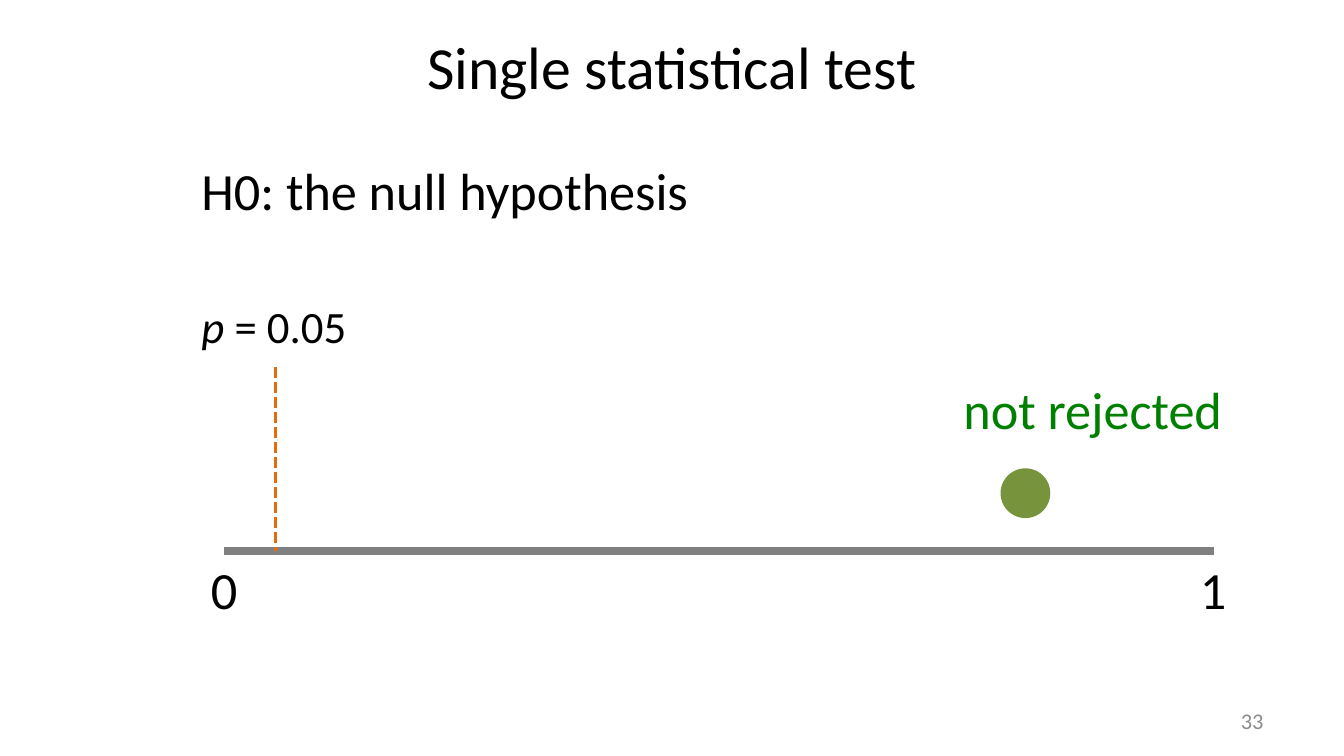
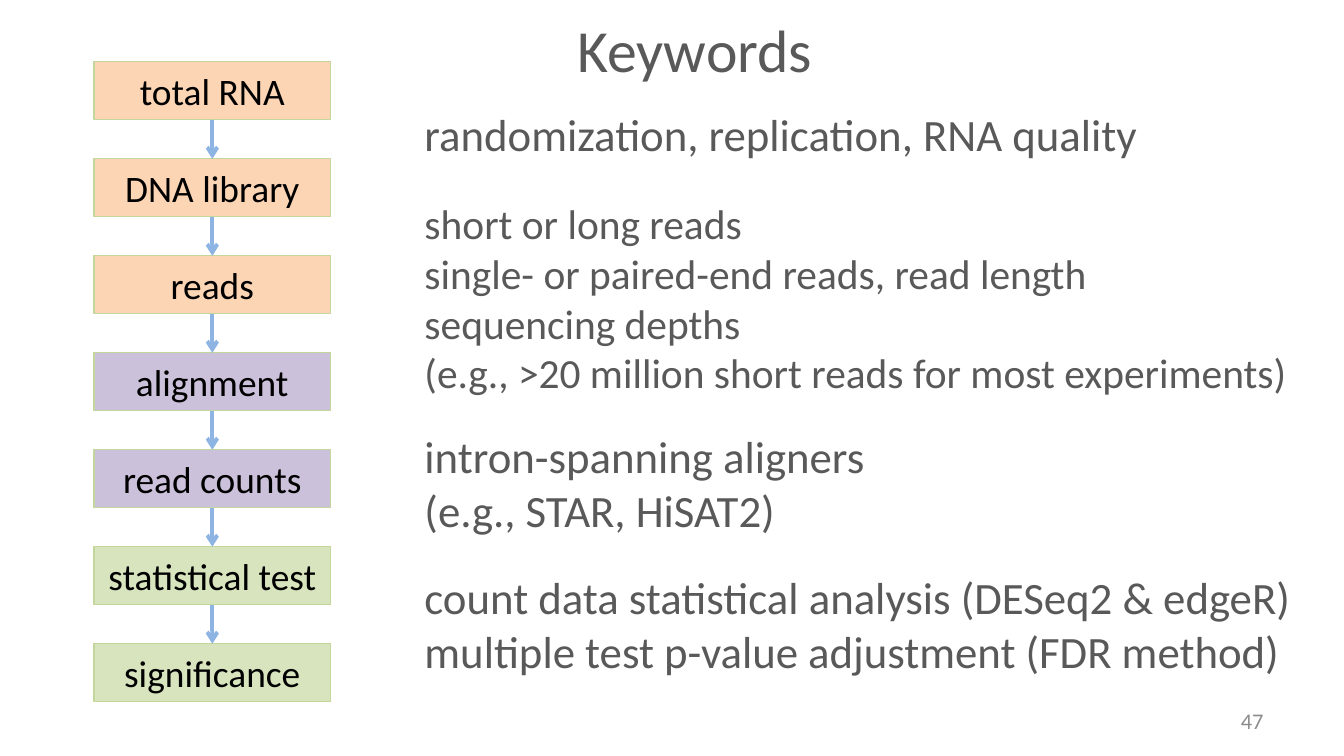
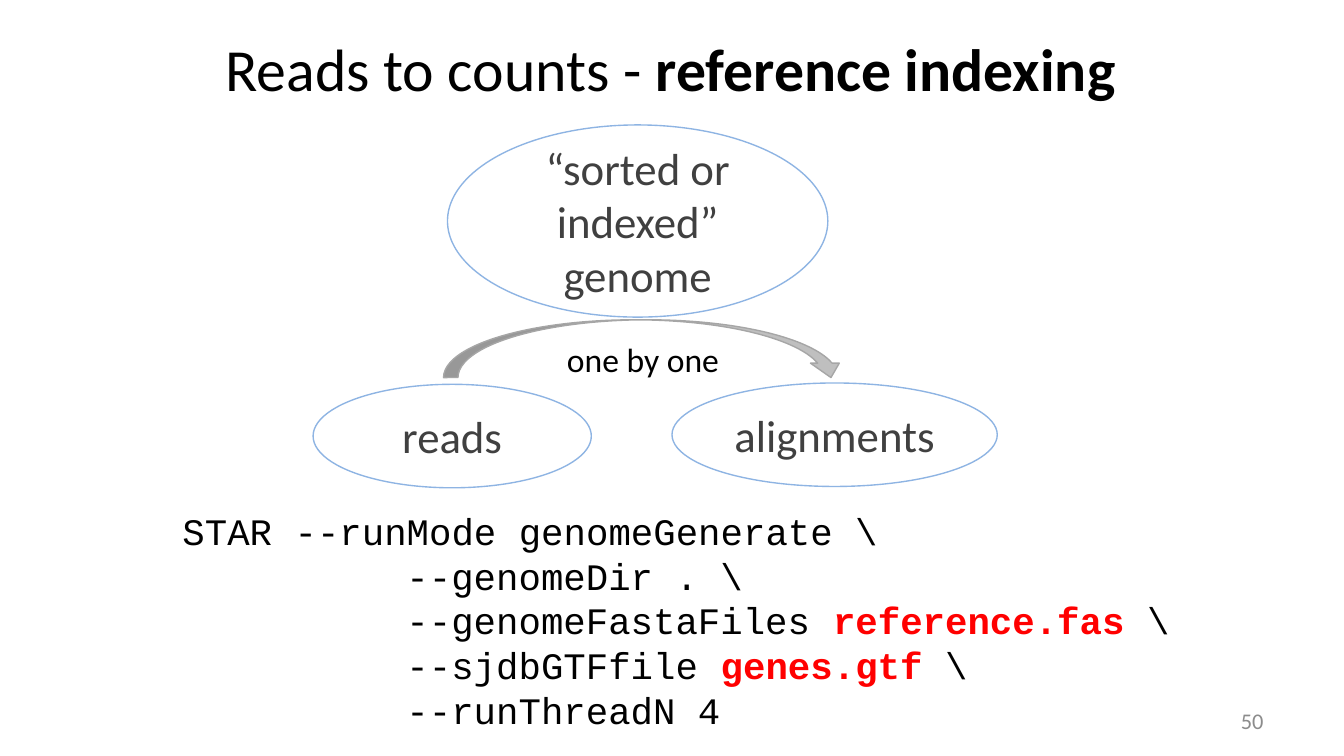
from lxml import etree
from pptx import Presentation
from pptx import util as u
from pptx.dml.color import RGBColor
from pptx.enum import shapes, text
from pptx.oxml.ns import qn

WIDE = 10
HIGH = WIDE * 9 / 16
HUES = {
    "black": "000000", "dark": "404040", "slate": "595959", "gray": "808080",
    "page": "8C8C8C", "arc": "BFBFBF", "rim": "A6A6A6", "sky": "8EB4E3",
    "peach": "FCD5B5", "lilac": "CCC1DA", "lime": "D7E4BD", "edge": "C3D69B",
    "rust": "E46C0A", "olive": "77933C", "green": "008000", "red": "FF0000",
}
SANS, MONO = "Calibri", "Courier New"
LEFT, MID, RIGHT = text.PP_ALIGN.LEFT, text.PP_ALIGN.CENTER, text.PP_ALIGN.RIGHT
TOP, CORE = text.MSO_ANCHOR.TOP, text.MSO_ANCHOR.MIDDLE
KIND = shapes.MSO_SHAPE

AXIS = {"left": 1.67, "right": 9.03, "y": 4.1, "cut": 2.05}
NOTES = [
    ("H0: the null hypothesis", (1.4, 1.13, 3.87, 0.57), 28, "black"),
    ([("p", "i"), (" = 0.05", "")], (1.4, 2.17, 1.31, 0.5), 24, "black"),
    ("not rejected", (7.07, 2.76, 2.16, 0.57), 28, "green"),
]

STEPS = [
    ("total RNA", "peach"), ("DNA library", "peach"), ("reads", "peach"),
    ("alignment", "lilac"), ("read counts", "lilac"),
    ("statistical test", "lime"), ("significance", "lime"),
]
FLOW = {"left": 0.7, "top": 0.46, "wide": 1.76, "high": 0.43, "last": 4.79}
PITCH = (FLOW["last"] - FLOW["top"]) / (len(STEPS) - 1)
WORDS = [
    (0.68, 0.63, 24, ["randomization, replication, RNA quality"]),
    (1.35, 1.73, 22.2, [
        "short or long reads",
        "single- or paired-end reads, read length",
        "sequencing depths",
        "(e.g., >20 million short reads for most experiments)",
    ]),
    (3.08, 1.02, 24, ["intron-spanning aligners", "(e.g., STAR, HiSAT2)"]),
    (4.13, 1.02, 24, [
        "count data statistical analysis (DESeq2 & edgeR)",
        "multiple test p-value adjustment (FDR method)",
    ]),
]

OVALS = [
    ("“sorted or indexed” genome", (3.33, 0.93, 2.83, 1.43)),
    ("reads", (2.33, 2.86, 2.07, 0.77)),
    ("alignments", (5, 2.85, 2.42, 0.77)),
]
CODE = [
    "STAR --runMode genomeGenerate \\",
    "--genomeDir . \\",
    [("--genomeFastaFiles ", ""), ("reference.fas", "key"), (" \\", "")],
    [("--sjdbGTFfile ", ""), ("genes.gtf", "key"), (" \\", "")],
    "--runThreadN 4",
]
INDENT = 10 * 0.6 * 20 / 72


def rgb(hue):
    return RGBColor.from_string(HUES[hue])


def inches(box):
    return [u.Inches(v) for v in box]


def write(shape, rows, size, hue="black", align=LEFT, anchor=TOP,
          font=SANS, wrap=True):
    frame = shape.text_frame
    frame.auto_size = text.MSO_AUTO_SIZE.NONE
    frame.word_wrap = wrap
    frame.vertical_anchor = anchor
    for i, row in enumerate(rows):
        para = frame.add_paragraph() if i else frame.paragraphs[0]
        para.alignment = align
        for words, style in [(row, "")] if isinstance(row, str) else row:
            run = para.add_run()
            run.text = words
            face = run.font
            face.name, face.size = font, u.Pt(size)
            face.italic, face.bold = style == "i", style in ("b", "key")
            face.color.rgb = rgb("red" if style == "key" else hue)
    return frame


def label(slide, rows, box, size, hue="black", **look):
    area = slide.shapes.add_textbox(*inches(box))
    return write(area, rows, size, hue, **look)


def form(slide, kind, box, fill, edge):
    shape = slide.shapes.add_shape(kind, *inches(box))
    shape.shadow.inherit = False
    if fill:
        shape.fill.solid()
        shape.fill.fore_color.rgb = rgb(fill)
    else:
        shape.fill.background()
    shape.line.color.rgb = rgb(edge)
    shape.line.width = u.Pt(0.75)
    return shape


def rule(slide, start, end, hue, width, tag=None, **attrs):
    link = slide.shapes.add_connector(
        shapes.MSO_CONNECTOR.STRAIGHT, *inches(start + end))
    link.line.color.rgb = rgb(hue)
    link.line.width = u.Pt(width)
    if tag:
        etree.SubElement(link.line._get_or_add_ln(), qn(tag), **attrs)
    etree.SubElement(link._element.spPr, qn("a:effectLst"))


def start(deck, title, box, page, hue="black"):
    slide = deck.slides.add_slide(deck.slide_layouts[5])
    head = slide.shapes.title
    head.left, head.top, head.width, head.height = inches(box)
    write(head, [title], 32, hue, MID, CORE)
    label(slide, [str(page)], (7.17, 5.21, 2.33, 0.3), 12, "page",
          align=RIGHT, anchor=CORE)
    return slide


def test(deck):
    slide = start(deck, "Single statistical test", (0.5, -0.01, 9, 0.99), 33)
    y, cut = AXIS["y"], AXIS["cut"]
    rule(slide, (AXIS["left"], y), (AXIS["right"], y), "gray", 4.5)
    for mark, x in (("0", AXIS["left"]), ("1", AXIS["right"])):
        label(slide, [mark], (x - 0.2, y, 0.4, 0.57), 28, wrap=False)
    rule(slide, (cut, 2.73), (cut, y), "rust", 2, "a:prstDash", val="sysDash")
    form(slide, KIND.OVAL, (7.45, 3.49, 0.36, 0.36), "olive", "olive")
    for row, box, size, hue in NOTES:
        label(slide, [row], box, size, hue, wrap=False)


def keywords(deck):
    slide = start(deck, "Keywords", (3.54, 0.05, 3.26, 0.63), 47, "slate")
    left, wide, high = FLOW["left"], FLOW["wide"], FLOW["high"]
    x = left + wide / 2
    for i, (name, fill) in enumerate(STEPS):
        y = FLOW["top"] + i * PITCH
        step = form(slide, KIND.RECTANGLE, (left, y, wide, high), fill, "edge")
        frame = write(step, [name], 20, align=MID, anchor=CORE)
        frame.margin_left = frame.margin_right = 0
        frame.margin_top = frame.margin_bottom = 0
        if i:
            rule(slide, (x, y - PITCH + high), (x, y), "sky", 2,
                 "a:tailEnd", type="arrow")
    for y, tall, size, rows in WORDS:
        label(slide, rows, (3.06, y, 6.81, tall), size, "slate", anchor=CORE)


def index(deck):
    title = [("Reads to counts - ", ""), ("reference indexing", "b")]
    slide = start(deck, title, (0.49, 0.1, 9, 0.81), 50)
    frame = label(slide, CODE, (1.26, 3.73, 7.73, 1.78), 20, font=MONO)
    for para in frame.paragraphs[1:]:
        para._p.get_or_add_pPr().set("marL", str(u.Inches(INDENT)))
    for name, box in OVALS:
        oval = form(slide, KIND.OVAL, box, None, "sky")
        write(oval, [name], 24, "dark", MID, CORE)
    form(slide, KIND.CURVED_DOWN_ARROW, (3.3, 2.38, 2.99, 0.43), "arc", "rim")
    label(slide, ["one by one"], (4.12, 2.47, 1.35, 0.4), 18, wrap=False)


def main():
    deck = Presentation()
    deck.slide_width, deck.slide_height = inches((WIDE, HIGH))
    for build in (test, keywords, index):
        build(deck)
    deck.save("out.pptx")


if __name__ == "__main__":
    main()
